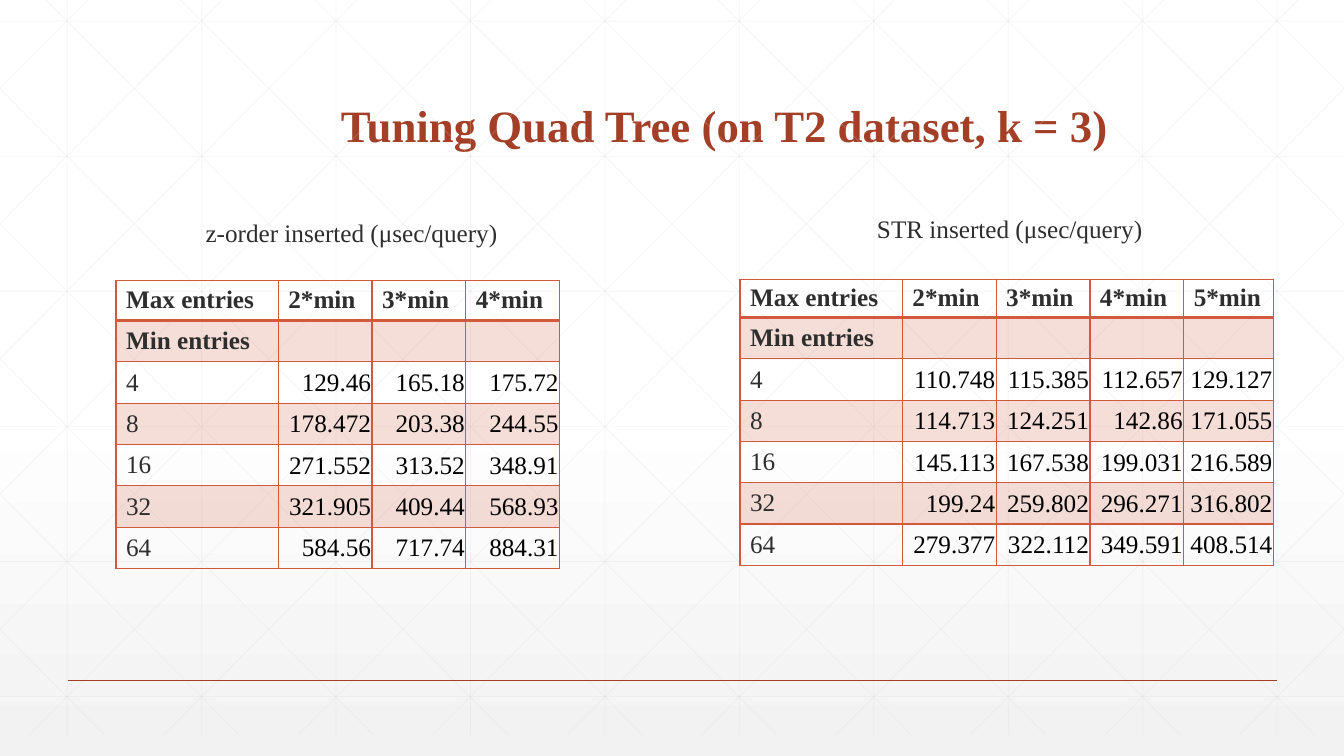
from dataclasses import dataclass

from pptx import Presentation
from pptx.dml.color import RGBColor
from pptx.enum.shapes import MSO_CONNECTOR
from pptx.enum.text import MSO_ANCHOR, MSO_AUTO_SIZE, PP_ALIGN
from pptx.oxml.ns import qn
from pptx.oxml.xmlchemy import OxmlElement
from pptx.util import Inches, Pt

STRAIGHT = MSO_CONNECTOR.STRAIGHT
MIDDLE, BOTTOM = MSO_ANCHOR.MIDDLE, MSO_ANCHOR.BOTTOM
LEFT, RIGHT = PP_ALIGN.LEFT, PP_ALIGN.RIGHT
FIXED = MSO_AUTO_SIZE.NONE
TITLE_ONLY = 5
FONT = "Times New Roman"
DARK, BLACK, RUST, CORAL, GREY = "2D2E2D", "000000", "A43F27", "D15A3E", "D9D9D9"
WIDTH, TOP, FLOOR = 13.33, -0.21, 7.29
STEP, SLANT = 4 / 3, 7.455


@dataclass
class Timing:
    caption: str
    caption_box: tuple[float, float, float, float]
    left: float
    top: float
    widths: list[float]
    rows: list[list[str]]


TIMINGS = [
    Timing("STR inserted (μsec/query)", (8.6, 2.07, 3.23, 0.4), 7.34, 2.77,
           [1.61, 0.93, 0.93, 0.93, 0.89],
           [["Max entries", "2*min", "3*min", "4*min", "5*min"],
            ["Min entries", "", "", "", ""],
            ["4", "110.748", "115.385", "112.657", "129.127"],
            ["8", "114.713", "124.251", "142.86", "171.055"],
            ["16", "145.113", "167.538", "199.031", "216.589"],
            ["32", "199.24", "259.802", "296.271", "316.802"],
            ["64", "279.377", "322.112", "349.591", "408.514"]]),
    Timing("z-order inserted (μsec/query)", (1.94, 2.11, 3.78, 0.4), 1.15, 2.78,
           [1.61, 0.93, 0.93, 0.93],
           [["Max entries", "2*min", "3*min", "4*min"],
            ["Min entries", "", "", ""],
            ["4", "129.46", "165.18", "175.72"],
            ["8", "178.472", "203.38", "244.55"],
            ["16", "271.552", "313.52", "348.91"],
            ["32", "321.905", "409.44", "568.93"],
            ["64", "584.56", "717.74", "884.31"]]),
]


def colour(code: str) -> RGBColor:
    return RGBColor.from_string(code)


def set_opacity(properties, percent: int) -> None:
    solid = properties.find(qn("a:solidFill"))
    alpha = OxmlElement("a:alpha")
    alpha.set("val", str(percent * 1000))
    solid.find(qn("a:srgbClr")).append(alpha)


def write(frame, text: str, *, size: float = 18, code: str = DARK, bold: bool = False,
          align=LEFT, spacing: float = 1.0) -> None:
    para = frame.paragraphs[0]
    para.alignment, para.line_spacing = align, spacing
    span = para.add_run()
    span.text = text
    span.font.name, span.font.size, span.font.bold = FONT, Pt(size), bold
    span.font.color.rgb = colour(code)


def add_line(page, start: tuple[float, float], end: tuple[float, float],
             code: str, points: float, opacity: int = 100) -> None:
    line = page.shapes.add_connector(
        STRAIGHT, *(Inches(value) for value in (*start, *end)))
    line.line.color.rgb = colour(code)
    line.line.width = Pt(points)
    properties = line._element.spPr
    if opacity < 100:
        set_opacity(properties.find(qn("a:ln")), opacity)
    properties.append(OxmlElement("a:effectLst"))


def add_background(page) -> None:
    fill = page.background.fill
    fill.gradient()
    fill.gradient_angle = 270
    for stop, position, code in zip(fill.gradient_stops, (0.53, 1), ("FFFFFF", "F2F2F2")):
        stop.position = position
        stop.color.rgb = colour(code)


def add_lattice(page) -> None:
    lines = [((x, TOP), (x, FLOOR)) for x in (2 / 3 + STEP * i for i in range(10))]
    lines += [((0, y), (WIDTH, y)) for y in (0.21 + 1.34 * i for i in range(6))]
    slope = (FLOOR - TOP) / SLANT
    for i in range(-5, 10):
        x = 0.25 + STEP * i
        first, last = max(x, 0), min(x + SLANT, WIDTH)
        y_first, y_last = TOP + (first - x) * slope, TOP + (last - x) * slope
        lines.append(((first, y_first), (last, y_last)))
        lines.append(((WIDTH - first, y_first), (WIDTH - last, y_last)))
    for start, end in lines:
        add_line(page, start, end, GREY, 0.5, 25)


def add_borders(cell, header: bool) -> None:
    properties = cell._tc.get_or_add_tcPr()
    for side in "LRTB":
        border = OxmlElement(f"a:ln{side}")
        border.set("w", str(Pt(2 if header and side == "B" else 1)))
        solid = OxmlElement("a:solidFill")
        paint = OxmlElement("a:srgbClr")
        paint.set("val", CORAL)
        solid.append(paint)
        border.append(solid)
        properties.append(border)


def format_cell(cell, text: str, row: int, column: int) -> None:
    number = row > 1 and column > 0
    cell.vertical_anchor = MIDDLE
    add_borders(cell, row == 0)
    if row % 2:
        cell.fill.solid()
        cell.fill.fore_color.rgb = colour(CORAL)
        set_opacity(cell._tc.tcPr, 20)
    else:
        cell.fill.background()
    if number:
        cell.margin_left = cell.margin_right = cell.margin_top = Inches(0.01)
        cell.margin_bottom = 0
    if text:
        write(cell.text_frame, text, code=BLACK if number else DARK,
              bold=row < 2, align=RIGHT if number else LEFT)


def add_timing(page, timing: Timing) -> None:
    heights = [0.38] + [0.41] * (len(timing.rows) - 1)
    table = page.shapes.add_table(
        len(heights), len(timing.widths), Inches(timing.left), Inches(timing.top),
        Inches(sum(timing.widths)), Inches(sum(heights))).table
    for column, width in zip(table.columns, timing.widths):
        column.width = Inches(width)
    for row, height in zip(table.rows, heights):
        row.height = Inches(height)
    for i, texts in enumerate(timing.rows):
        for j, text in enumerate(texts):
            format_cell(table.cell(i, j), text, i, j)
    box = page.shapes.add_textbox(*(Inches(value) for value in timing.caption_box))
    box.text_frame.word_wrap = True
    write(box.text_frame, timing.caption)


def add_title(page) -> None:
    title = page.shapes.title
    title.left, title.top = Inches(3.28), Inches(0.79)
    title.width, title.height = Inches(9.48), Inches(0.77)
    title.text_frame.auto_size = FIXED
    title.text_frame.vertical_anchor = BOTTOM
    write(title.text_frame, "Tuning Quad Tree (on T2 dataset, k = 3)",
          size=32, code=RUST, bold=True, spacing=0.9)


def main() -> None:
    deck = Presentation()
    deck.slide_width, deck.slide_height = Inches(WIDTH), Inches(7.5)
    page = deck.slides.add_slide(deck.slide_layouts[TITLE_ONLY])
    add_background(page)
    add_lattice(page)
    add_line(page, (0.67, 6.75), (12.67, 6.75), RUST, 1)
    for timing in TIMINGS:
        add_timing(page, timing)
    add_title(page)
    deck.save("out.pptx")


if __name__ == "__main__":
    main()
